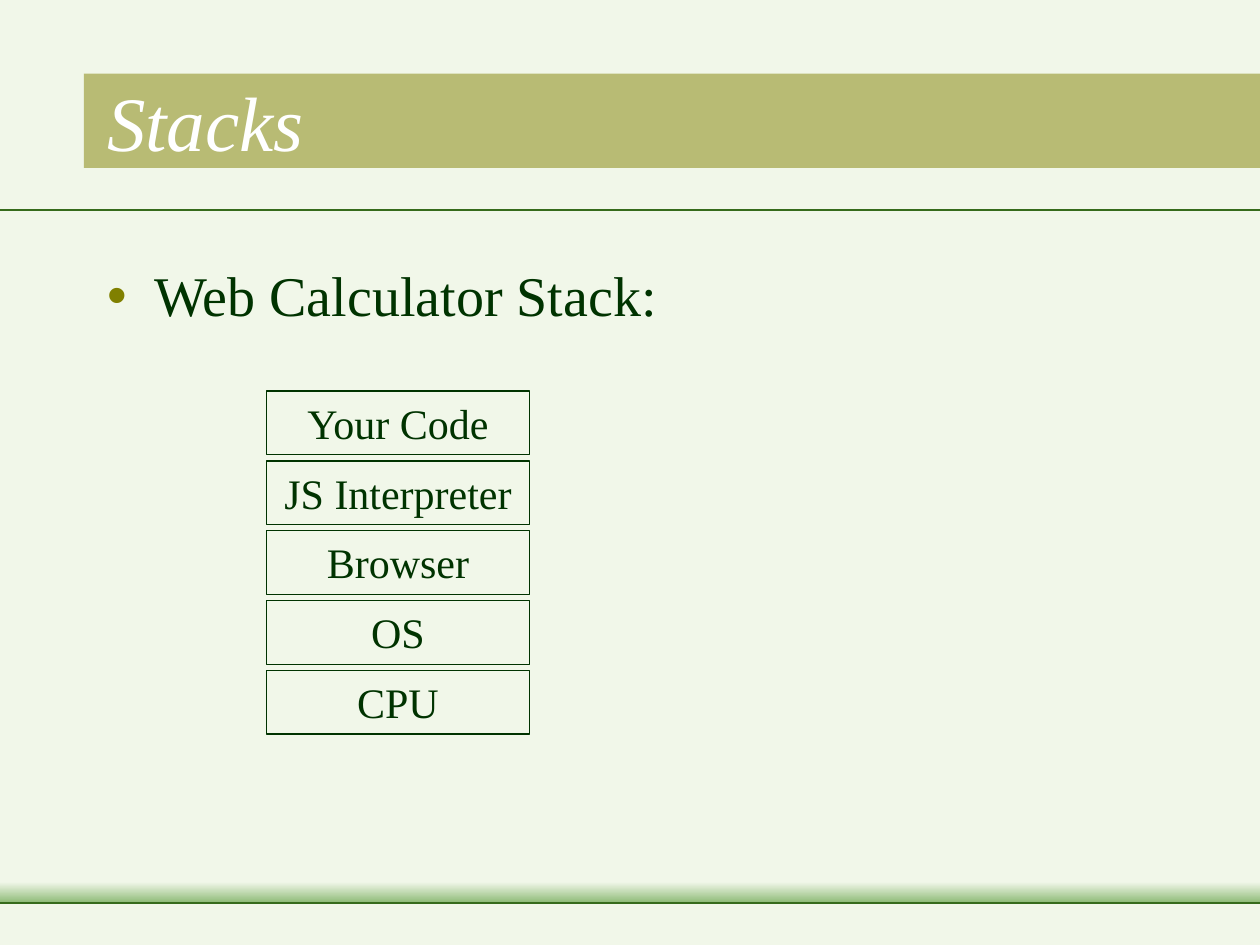
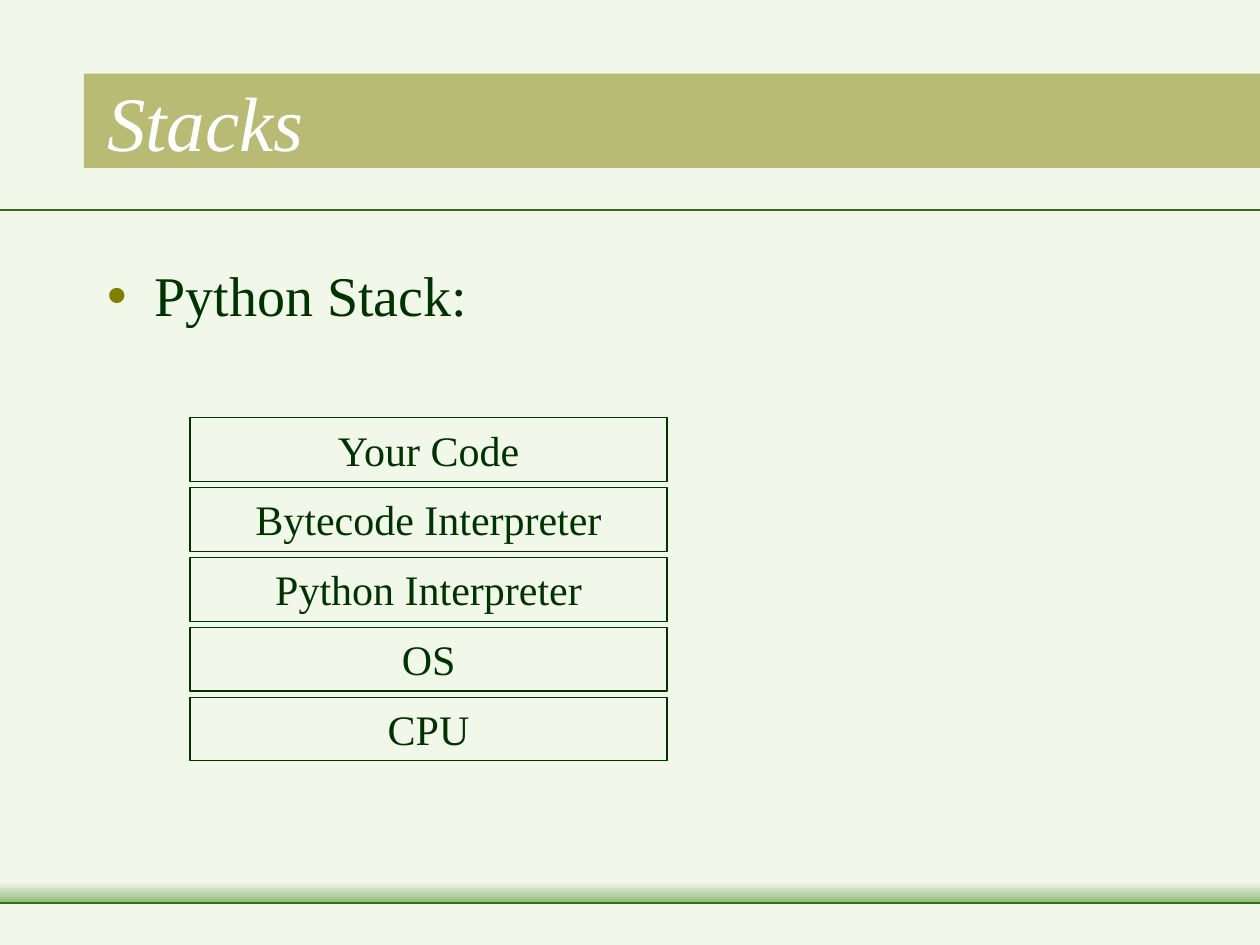
from pptx import Presentation
from pptx.dml.color import RGBColor
from pptx.enum.shapes import MSO_CONNECTOR, MSO_SHAPE
from pptx.enum.text import MSO_ANCHOR, MSO_AUTO_SIZE, PP_ALIGN
from pptx.oxml.ns import qn
from pptx.util import Pt
from lxml.etree import SubElement

PALE_GREEN = RGBColor(0xF1, 0xF7, 0xE9)
LEAF_GREEN = RGBColor(0x8D, 0xBA, 0x76)
RULE_GREEN = RGBColor(0x36, 0x6B, 0x1B)
DARK_GREEN = RGBColor(0x00, 0x33, 0x00)
OLIVE = RGBColor(0x80, 0x80, 0x00)
WHITE = RGBColor(0xFF, 0xFF, 0xFF)

FONT = "Times New Roman"
PAGE_WIDTH, PAGE_HEIGHT = 720, 540
TITLE_AND_CONTENT = 1
TEXT_LEFT, TEXT_WIDTH = 54, 612
HEADER_RULE_Y, FOOTER_Y, FOOTER_HEIGHT = 120, 504, 12
LAYER_HEIGHT, LAYER_PITCH = 36.4, 39.9

# Bullet text, left, top and width of the layers, then the layers from top to bottom
STACKS = [
    ("Web Calculator Stack:", 152.1, 223.5, 150.6,
     ["Your Code", "JS Interpreter", "Browser", "OS", "CPU"]),
    ("Python Stack:", 108.6, 238.8, 272.6,
     ["Your Code", "Bytecode Interpreter", "Python Interpreter", "OS", "CPU"]),
]


class Deck:
    def __init__(self):
        self.presentation = Presentation()
        self.presentation.slide_width = Pt(PAGE_WIDTH)
        self.presentation.slide_height = Pt(PAGE_HEIGHT)
        self.slide = None

    def start_slide(self):
        """Add a slide with the shared background, bands and rules."""
        layout = self.presentation.slide_layouts[TITLE_AND_CONTENT]
        self.slide = self.presentation.slides.add_slide(layout)
        background = self.slide.background.fill
        background.solid()
        background.fore_color.rgb = PALE_GREEN
        self.rule(HEADER_RULE_Y)
        self.footer_band()
        self.rule(FOOTER_Y + FOOTER_HEIGHT)
        self.title_band()

    def rule(self, y):
        rule = self.slide.shapes.add_connector(
            MSO_CONNECTOR.STRAIGHT, Pt(0), Pt(y), Pt(PAGE_WIDTH), Pt(y))
        rule.line.color.rgb = RULE_GREEN
        rule.line.width = Pt(1.5)
        SubElement(rule._element.spPr, qn("a:effectLst"))

    def rectangle(self, left, top, width, height):
        rectangle = self.slide.shapes.add_shape(
            MSO_SHAPE.RECTANGLE, Pt(left), Pt(top), Pt(width), Pt(height))
        rectangle.shadow.inherit = False
        return rectangle

    def footer_band(self):
        band = self.rectangle(0, FOOTER_Y, PAGE_WIDTH, FOOTER_HEIGHT)
        band.line.fill.background()
        band.fill.gradient()
        band.fill.gradient_angle = 270
        for stop, color in zip(band.fill.gradient_stops, (PALE_GREEN, LEAF_GREEN)):
            stop.color.rgb = color

    def title_band(self):
        band = self.rectangle(48, 42, PAGE_WIDTH - 48, 54)
        band.line.fill.background()
        band.fill.solid()
        band.fill.fore_color.rgb = OLIVE
        color = band._element.spPr.find(qn("a:solidFill"))[0]
        SubElement(color, qn("a:alpha"), val="50000")

    def styled_run(self, paragraph, text, size, color, align, italic=False):
        paragraph.alignment = align
        run = paragraph.add_run()
        run.text = text
        run.font.name = FONT
        run.font.size = Pt(size)
        run.font.color.rgb = color
        run.font.italic = italic

    def place(self, placeholder, top, height, anchor):
        """Move a placeholder in front of the bands and return its first paragraph."""
        placeholder.left, placeholder.top = Pt(TEXT_LEFT), Pt(top)
        placeholder.width, placeholder.height = Pt(TEXT_WIDTH), Pt(height)
        self.slide.shapes._spTree.append(placeholder._element)
        frame = placeholder.text_frame
        frame.auto_size = MSO_AUTO_SIZE.NONE
        frame.vertical_anchor = anchor
        return frame.paragraphs[0]

    def title(self, text):
        paragraph = self.place(self.slide.shapes.title, 24, 90, MSO_ANCHOR.MIDDLE)
        self.styled_run(paragraph, text, 44, WHITE, PP_ALIGN.LEFT, italic=True)

    def bullet(self, text):
        paragraph = self.place(self.slide.placeholders[1], 145.5, 324, MSO_ANCHOR.TOP)
        self.styled_run(paragraph, text, 32, DARK_GREEN, PP_ALIGN.LEFT)
        properties = paragraph._p.get_or_add_pPr()
        properties.set("marL", str(Pt(27)))
        properties.set("indent", str(Pt(-27)))
        bullet_color = SubElement(properties, qn("a:buClr"))
        SubElement(bullet_color, qn("a:srgbClr"), val=str(OLIVE))
        SubElement(properties, qn("a:buChar"), char="•")

    def layer(self, text, left, top, width):
        layer = self.rectangle(left, top, width, LAYER_HEIGHT)
        layer.fill.background()
        layer.line.color.rgb = DARK_GREEN
        layer.line.width = Pt(0.75)
        frame = layer.text_frame
        frame.word_wrap = True
        frame.vertical_anchor = MSO_ANCHOR.TOP
        self.styled_run(frame.paragraphs[0], text, 24, DARK_GREEN, PP_ALIGN.CENTER)

    def stack(self, layers, left, top, width):
        for level, text in enumerate(layers):
            self.layer(text, left, top + level * LAYER_PITCH, width)


def main():
    deck = Deck()
    for heading, left, top, width, layers in STACKS:
        deck.start_slide()
        deck.title("Stacks")
        deck.bullet(heading)
        deck.stack(layers, left, top, width)
    deck.presentation.save("out.pptx")


if __name__ == "__main__":
    main()
